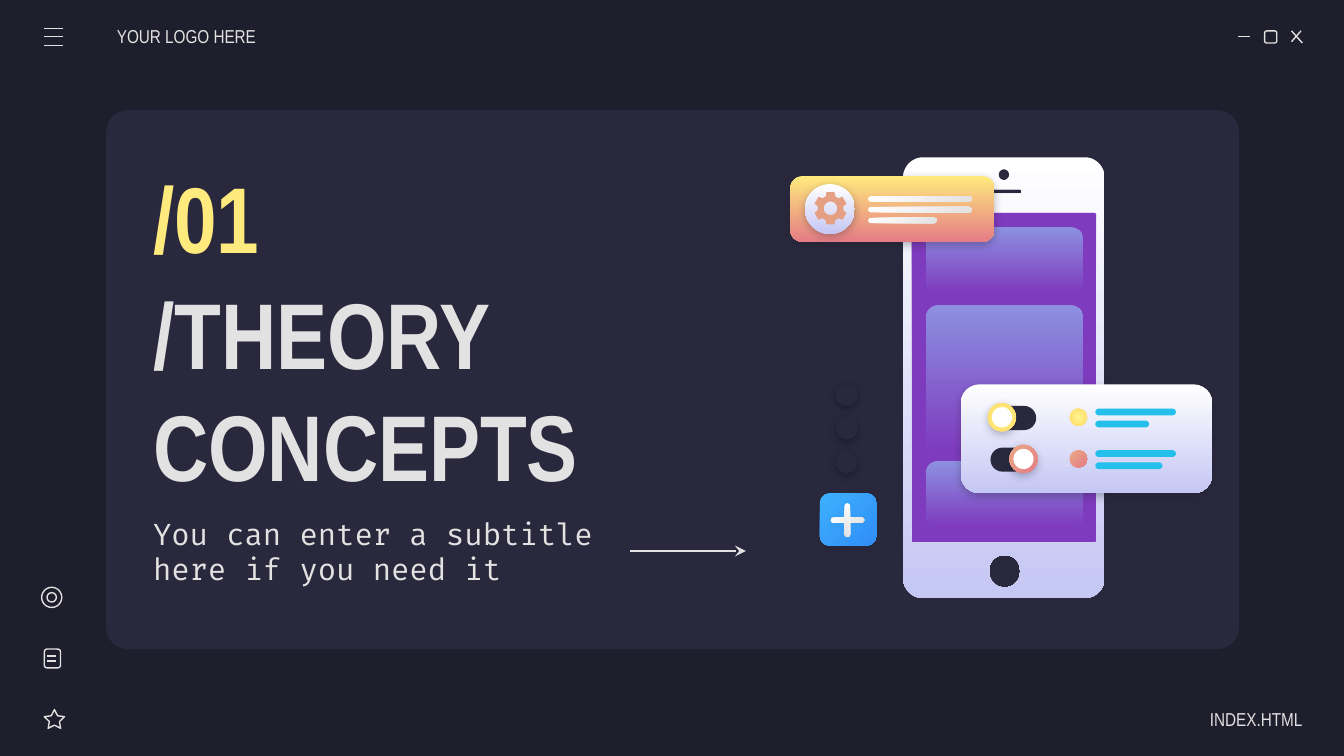
import math
from dataclasses import dataclass

from lxml import etree
from pptx import Presentation
from pptx.dml.color import RGBColor
from pptx.enum.shapes import MSO_CONNECTOR, MSO_SHAPE
from pptx.enum.text import MSO_ANCHOR, MSO_AUTO_SIZE, PP_ALIGN
from pptx.oxml.ns import qn
from pptx.util import Pt

PX = 9144
ROUND = MSO_SHAPE.ROUNDED_RECTANGLE
OVAL = MSO_SHAPE.OVAL
STAR = MSO_SHAPE.STAR_5_POINT
STRAIGHT = MSO_CONNECTOR.STRAIGHT
MIDDLE = MSO_ANCHOR.MIDDLE
NO_FIT = MSO_AUTO_SIZE.NONE
LEFT, RIGHT = PP_ALIGN.LEFT, PP_ALIGN.RIGHT
RADIAL = None


@dataclass(frozen=True)
class Theme:
    background: str = "1E1E2C"
    panel: str = "29283D"
    ink: str = "E2E2E2"
    accent: str = "FFEA7D"
    white: str = "FFFFFF"
    black: str = "000000"
    screen: str = "7E3BBE"
    gear: str = "E5A083"
    bar: str = "24BFEB"
    tile: tuple = ("8D90E1", "7E3BBE", 90)
    glass: tuple = ("FFFFFF", "C5C7F4", 90)
    sunset: tuple = ("FFEA7D", "E57C85", 90)
    silver: tuple = ("FFFFFF", "E2E2E2", 45)
    blue: tuple = ("3DB0FD", "308EF7", 45)
    yellow: tuple = ("FFF68E", "FFD966", RADIAL)
    coral: tuple = ("E9A984", "E57C85", 45)
    heading_font: str = "Arial Narrow"
    body_font: str = "Fira Code"
    heading_size: int = 50
    body_size: int = 16
    label_size: int = 10
    line_width: float = 0.75


THEME = Theme()


def rgb(color):
    return RGBColor.from_string(color)


def emu(*lengths):
    return [round(length * PX) for length in lengths]


def paint(shape, fill):
    if fill is None:
        shape.fill.background()
    elif isinstance(fill, str):
        shape.fill.solid()
        shape.fill.fore_color.rgb = rgb(fill)
    else:
        *colors, angle = fill
        shape.fill.gradient()
        for stop, color in zip(shape.fill.gradient_stops, colors):
            stop.color.rgb = rgb(color)
        if angle is RADIAL:
            gradient = shape.element.spPr.find(qn("a:gradFill"))
            gradient.remove(gradient.find(qn("a:lin")))
            circle = etree.SubElement(gradient, qn("a:path"), path="circle")
            etree.SubElement(circle, qn("a:fillToRect"), l="50000", t="50000", r="50000", b="50000")
        else:
            shape.fill.gradient_angle = 360 - angle


def cast_shadow(shape, color):
    effects = shape.element.spPr.find(qn("a:effectLst"))
    outer = etree.SubElement(effects, qn("a:outerShdw"), blurRad=str(Pt(4.5)),
                             dist=str(Pt(1.5)), dir="5400000", algn="bl", rotWithShape="0")
    tint = etree.SubElement(outer, qn("a:srgbClr"), val=color)
    etree.SubElement(tint, qn("a:alpha"), val="30000")


def finish(shape, fill, shadow=None):
    shape.shadow.inherit = False
    paint(shape, fill)
    shape.line.fill.background()
    if shadow:
        cast_shadow(shape, shadow)
    return shape


def stroke(line):
    line.color.rgb = rgb(THEME.ink)
    line.width = Pt(THEME.line_width)


def add_solid(shapes, kind, box, fill, adjust=None, shadow=None):
    shape = finish(shapes.add_shape(kind, *emu(*box)), fill, shadow)
    if adjust is not None:
        shape.adjustments[0] = adjust
    return shape


def add_outline(shapes, kind, box, adjust=None):
    shape = add_solid(shapes, kind, box, None, adjust)
    stroke(shape.line)


def add_line(shapes, x1, y1, x2, y2, head=None):
    line = shapes.add_connector(STRAIGHT, *emu(x1, y1, x2, y2))
    stroke(line.line)
    if head:
        etree.SubElement(line.line._get_or_add_ln(), qn("a:tailEnd"), type=head)
    etree.SubElement(line.element.spPr, qn("a:effectLst"))


def polar(x, y, radius, degrees):
    angle = math.radians(degrees)
    return x + radius * math.cos(angle), y + radius * math.sin(angle)


def rounded_contour(x, y, width, height, radius):
    corners = [(x + width - radius, y + height - radius), (x + radius, y + height - radius),
               (x + radius, y + radius), (x + width - radius, y + radius)]
    return [polar(*corner, radius, 90 * quarter + step)
            for quarter, corner in enumerate(corners) for step in range(0, 91, 6)]


def gear_contour(x, y):
    tooth = [(-21, 9.6), (-14, 12.4), (14, 12.4), (21, 9.6)]
    return [polar(x, y, radius, center + offset)
            for center in range(-90, 270, 60) for offset, radius in tooth]


def add_contours(shapes, contours, fill):
    builder = None
    for contour in contours:
        start, *rest = [emu(*point) for point in contour]
        if builder is None:
            builder = shapes.build_freeform(*start)
        else:
            builder.move_to(*start)
        builder.add_line_segments(rest, close=True)
    finish(builder.convert_to_shape(), fill)


def set_text(holder, box, text, size, font=THEME.heading_font, color=THEME.ink,
             bold=False, align=LEFT, insets=(10, 10)):
    holder.left, holder.top, holder.width, holder.height = emu(*box)
    frame = holder.text_frame
    frame.word_wrap = True
    frame.auto_size = NO_FIT
    frame.vertical_anchor = MIDDLE
    frame.margin_left, frame.margin_right = emu(*insets)
    frame.margin_top = frame.margin_bottom = 10 * PX
    frame.text = text
    paragraph = frame.paragraphs[0]
    paragraph.alignment = align
    paragraph.font.name = font
    paragraph.font.size = Pt(size)
    paragraph.font.bold = bold
    paragraph.font.color.rgb = rgb(color)


def add_text(shapes, box, *args, **kwargs):
    set_text(shapes.add_textbox(*emu(*box)), box, *args, **kwargs)


def add_window_icons(shapes):
    controls = shapes.add_group_shape().shapes
    add_line(controls, 921, 27, 930, 27)
    add_outline(controls, ROUND, (941, 23, 9, 9))
    add_line(controls, 961, 23, 969, 32)
    add_line(controls, 968, 23, 961, 31)
    menu = shapes.add_group_shape().shapes
    for y in (21, 27, 34):
        add_line(menu, 33, y, 47, y)
    sidebar = shapes.add_group_shape().shapes
    add_outline(sidebar, STAR, (33, 528, 15, 14), 0.25)
    add_outline(sidebar, ROUND, (33, 483, 12, 14))
    for y in (488, 492):
        add_line(sidebar, 35, y, 42, y)
    add_outline(sidebar, OVAL, (31, 437, 15, 15))
    add_outline(sidebar, OVAL, (35, 441, 7, 7))


def add_phone(shapes):
    add_solid(shapes, ROUND, (674, 147, 146, 263), THEME.screen, 0, THEME.background)
    for y, height in ((169, 49), (227, 109), (343, 49)):
        add_solid(shapes, ROUND, (689, y, 117, height), THEME.tile, 9 / height)
    body = (672, 117, 150, 328, 15)
    camera = (743, 126, 8, 8, 4)
    speaker = (735, 141, 25, 3, 1)
    display = (678, 158, 138, 246, 2)
    button = (736, 413, 23, 24, 11)
    add_contours(shapes, [rounded_contour(*part) for part in
                          (camera, speaker, display, button, body)], THEME.glass)


def add_settings_banner(shapes):
    add_solid(shapes, ROUND, (588, 131, 152, 49), THEME.sunset, 0.19, THEME.background)
    add_solid(shapes, OVAL, (599, 137, 37, 37), THEME.glass, shadow=THEME.background)
    add_contours(shapes, [rounded_contour(613, 150, 10, 10, 5), gear_contour(618, 155)], THEME.gear)
    for row, width in enumerate((77, 77, 51)):
        add_solid(shapes, ROUND, (646, 146 + 8 * row, width, 4), THEME.silver, 0.5)


def add_toggle_card(shapes):
    add_solid(shapes, ROUND, (715, 286, 187, 81), THEME.glass, 0.17, THEME.background)
    for y, knob_x, color, short_bar in ((300, 735, THEME.yellow, 40), (331, 751, THEME.coral, 50)):
        add_solid(shapes, ROUND, (737, y + 2, 34, 18), THEME.panel, 0.5)
        add_solid(shapes, OVAL, (knob_x, y, 21, 21), color, shadow=THEME.background)
        add_solid(shapes, OVAL, (knob_x + 3, y + 3, 15, 15), THEME.white)
        add_solid(shapes, OVAL, (796, y + 4, 13, 13), color)
        for bar_y, width in ((y + 4, 60), (y + 13, short_bar)):
            add_solid(shapes, ROUND, (815, bar_y, width, 5), THEME.bar, 0.5)


def add_plus_button(shapes):
    add_solid(shapes, ROUND, (610, 367, 42, 39), THEME.blue, 0.18, THEME.background)
    for rotation in (0, 90):
        add_solid(shapes, ROUND, (618, 385, 25, 4), THEME.silver, 0.5).rotation = rotation
    for row in range(3):
        add_solid(shapes, OVAL, (622, 336 - 25 * row, 16, 16), THEME.panel, shadow=THEME.black)


def main():
    deck = Presentation()
    deck.slide_width = 1000 * PX
    deck.slide_height = deck.slide_width * 9 // 16
    slide = deck.slides.add_slide(deck.slide_layouts[5])
    slide.background.fill.solid()
    slide.background.fill.fore_color.rgb = rgb(THEME.background)
    shapes = slide.shapes
    panel = add_solid(shapes, ROUND, (79, 82, 843, 401), THEME.panel, 0.04)
    shapes.title.element.addprevious(panel.element)
    add_window_icons(shapes)
    add_text(shapes, (87, 12, 117, 30), "YOUR LOGO HERE", THEME.label_size, insets=(0, 10))
    add_text(shapes, (852, 520, 117, 30), "INDEX.HTML", THEME.label_size,
             align=RIGHT, insets=(10, 0))
    set_text(shapes.title, (104, 207, 430, 164), "/THEORY CONCEPTS", THEME.heading_size, bold=True)
    add_text(shapes, (104, 115, 178, 92), "/01", THEME.heading_size, color=THEME.accent, bold=True)
    add_text(shapes, (104, 371, 399, 78), "You can enter a subtitle here if you need it",
             THEME.body_size, font=THEME.body_font)
    add_line(shapes, 469, 410, 555, 410, head="stealth")
    illustration = shapes.add_group_shape().shapes
    add_phone(illustration)
    add_settings_banner(illustration)
    add_toggle_card(illustration)
    add_plus_button(illustration)
    deck.save("out.pptx")


if __name__ == "__main__":
    main()
